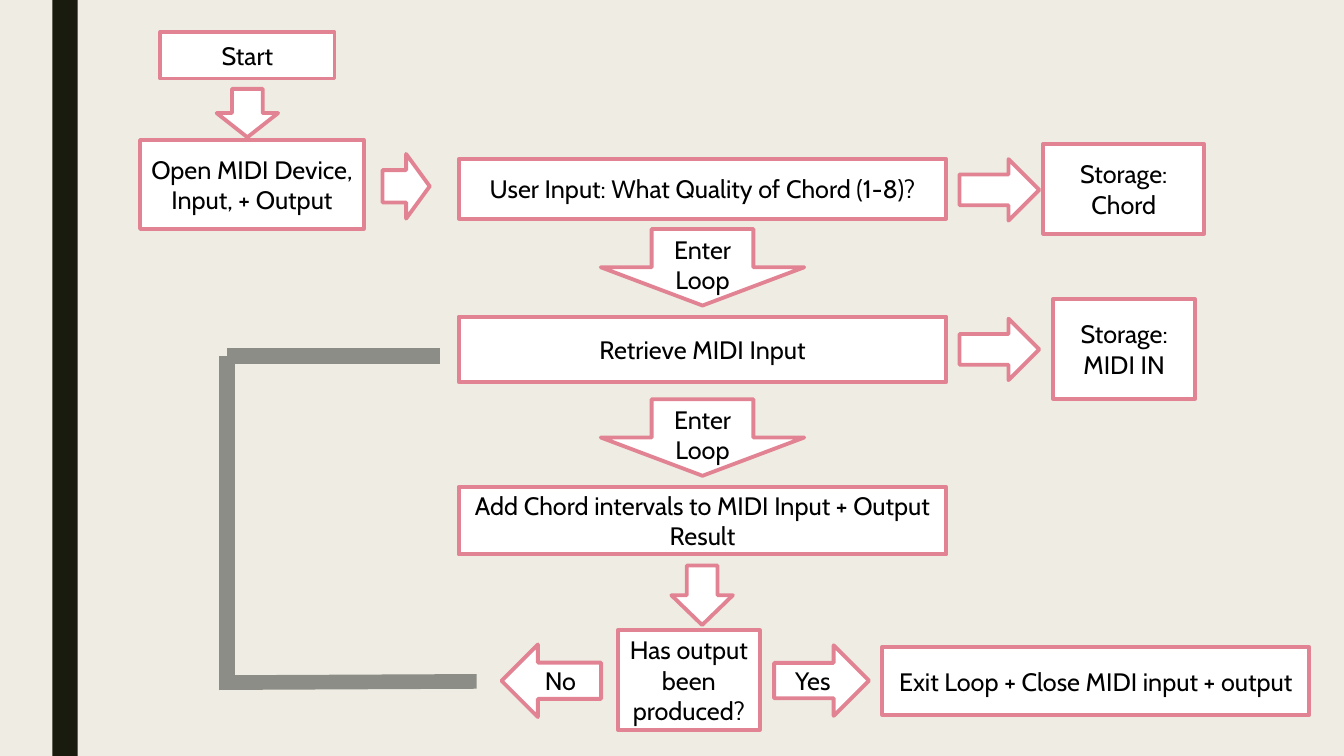
from lxml import etree
from pptx import Presentation
from pptx import util as u
from pptx.dml.color import RGBColor
from pptx.enum import shapes, text
from pptx.oxml.ns import qn

HUES = {"paper": "EFEDE3", "bar": "191B0E", "box": "FFFFFF",
        "edge": "E28394", "loop": "8C8D86", "ink": "000000"}
KIND = shapes.MSO_SHAPE
ANCHOR = text.MSO_ANCHOR


def hue(name):
    return RGBColor.from_string(HUES[name])


def add_node(kind, left, top, width, height, label="", anchor=ANCHOR.MIDDLE):
    node = slide.shapes.add_shape(
        kind, u.Cm(left), u.Cm(top), u.Cm(width), u.Cm(height))
    node.shadow.inherit = False
    node.fill.solid()
    node.fill.fore_color.rgb = hue("box")
    node.line.color.rgb = hue("edge")
    node.line.width = u.Pt(2.75)
    if label:
        frame = node.text_frame
        frame.word_wrap = True
        frame.vertical_anchor = anchor
        para = frame.paragraphs[0]
        para.alignment = text.PP_ALIGN.CENTER
        run = para.add_run()
        run.text = label
        run.font.name = "Cabin"
        run.font.size = u.Pt(18)
        run.font.color.rgb = hue("ink")
    return node


deck = Presentation()
deck.slide_width = u.Cm(33.87)
deck.slide_height = u.Cm(19.05)
slide = deck.slides.add_slide(deck.slide_layouts[6])

# Background and side bar
slide.background.fill.solid()
slide.background.fill.fore_color.rgb = hue("paper")
bar = add_node(KIND.RECTANGLE, 1.32, 0, 0.64, 19.05)
bar.fill.fore_color.rgb = hue("bar")
bar.line.fill.background()

# Main column: three wide steps
MID, WIDE = 11.56, 12.29
steps = [
    (4.01, 1.5, "User Input: What Quality of Chord (1-8)?"),
    (7.98, 1.65, "Retrieve MIDI Input"),
    (12.27, 1.7, "Add Chord intervals to MIDI Input + Output Result"),
]
for top, height, label in steps:
    add_node(KIND.RECTANGLE, MID, top, WIDE, height, label)

# Other boxes
boxes = [
    (4.04, 0.81, 4.39, 1.17, "Start"),
    (3.53, 3.53, 5.64, 2.24, "Open MIDI Device, Input, + Output"),
    (26.29, 3.63, 4.06, 2.26, "Storage: Chord"),
    (26.54, 7.54, 3.58, 2.51, "Storage: MIDI IN"),
    (15.57, 15.88, 3.58, 2.51, "Has output been produced?"),
    (22.23, 16.31, 10.77, 1.7, "Exit Loop + Close MIDI input + output"),
]
for box in boxes:
    add_node(KIND.RECTANGLE, *box)

# Plain arrows
add_node(KIND.DOWN_ARROW, 5.46, 2.24, 1.55, 1.22)
add_node(KIND.DOWN_ARROW, 16.92, 14.25, 1.55, 1.5)
add_node(KIND.RIGHT_ARROW, 9.64, 3.88, 1.19, 1.63)
for top in (4.01, 8.03):
    add_node(KIND.RIGHT_ARROW, 24.18, top, 2.01, 1.55)

# Arrows with words
for top in (5.77, 10.06):
    add_node(KIND.DOWN_ARROW, 15.14, top, 5.13, 1.93, "Enter Loop", ANCHOR.TOP)
add_node(KIND.LEFT_ARROW, 12.64, 16.24, 2.51, 1.83, "No")
add_node(KIND.RIGHT_ARROW, 19.51, 16.26, 2.39, 1.78, "Yes")

# Line back to the start of the loop
legs = [
    (12.01, 17.17, 5.69, 17.2, 10.5),
    (5.72, 17.4, 5.72, 8.97, 11.25),
    (5.72, 8.97, 11.1, 8.97, 11.25),
]
for *ends, weight in legs:
    leg = slide.shapes.add_connector(
        shapes.MSO_CONNECTOR.STRAIGHT, *[u.Cm(end) for end in ends])
    leg.line.color.rgb = hue("loop")
    leg.line.width = u.Pt(weight)
    etree.SubElement(leg._element.spPr, qn("a:effectLst"))

deck.save("out.pptx")
